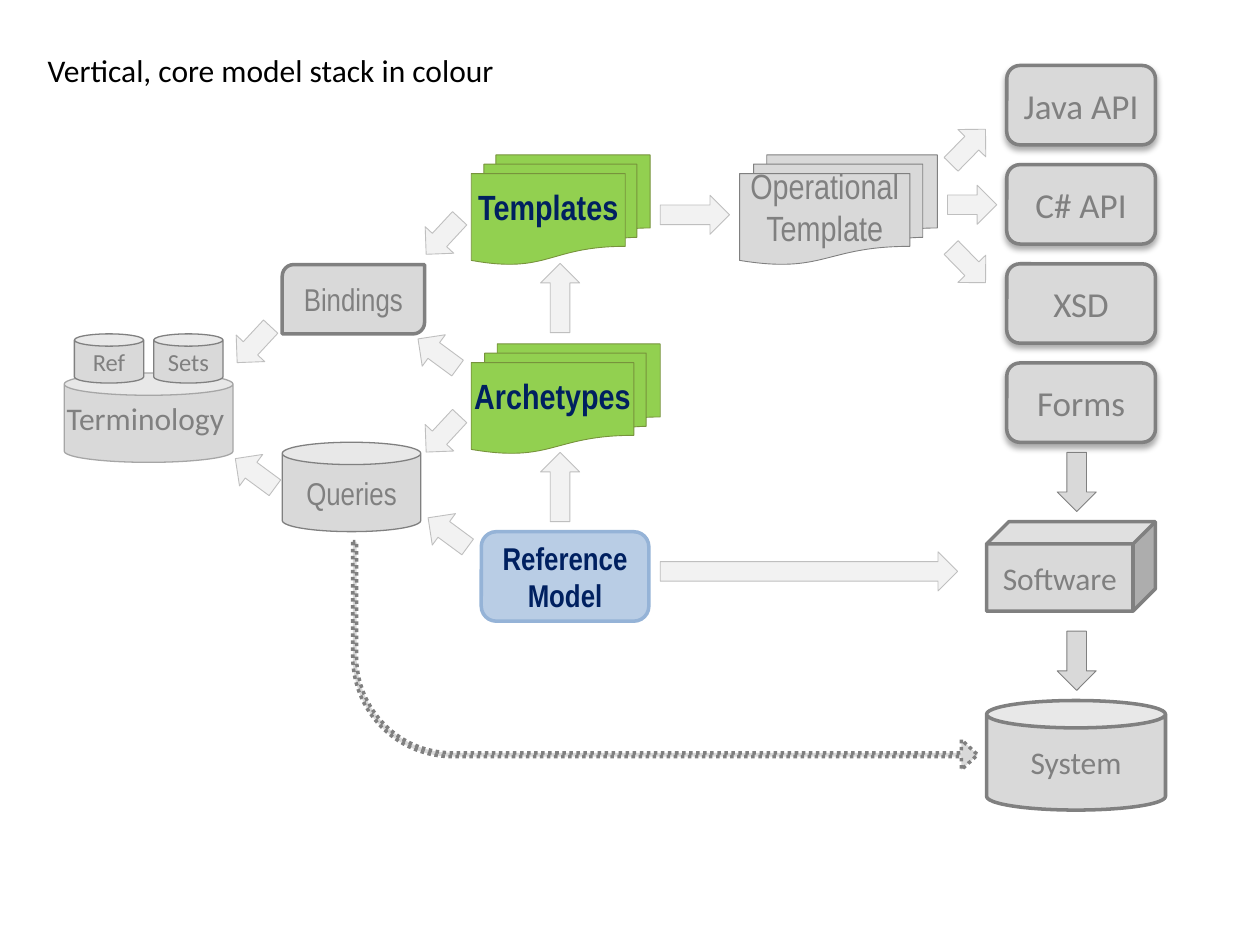
from lxml import etree
from pptx import Presentation
from pptx.dml.color import RGBColor
from pptx.enum.dml import MSO_LINE
from pptx.enum.shapes import MSO_SHAPE
from pptx.enum.text import MSO_ANCHOR, MSO_AUTO_SIZE, PP_ALIGN
from pptx.oxml.ns import qn
from pptx.util import Inches, Pt

GREY, PALE, DARK, NAVY = "D9D9D9", "F2F2F2", "808080", "002060"
NARROW, PLAIN = "Arial Narrow", "Calibri"

deck = Presentation()
deck.slide_width, deck.slide_height = Inches(10), Inches(7.5)
slide = deck.slides.add_slide(deck.slide_layouts[6])
stack = slide.shapes


def write(shape, text, size, face, color, bold=False):
    para = shape.text_frame.paragraphs[0]
    run = para.add_run()
    run.text = text
    looks = {"size": Pt(size), "name": face, "bold": bold}
    for name, value in looks.items():
        setattr(run.font, name, value)
    run.font.color.rgb = RGBColor.from_string(color)
    return para


def draw(parent, kind, box, fill, line, width, label=None):
    """Add a flat preset shape; label holds the arguments for write."""
    shape = parent.add_shape(kind, *map(Inches, box))
    shape.shadow.inherit = False
    shape.fill.solid()
    shape.fill.fore_color.rgb = RGBColor.from_string(fill)
    shape.line.color.rgb = RGBColor.from_string(line)
    shape.line.width = Pt(width)
    if label:
        frame = shape.text_frame
        frame.word_wrap = True
        frame.vertical_anchor = MSO_ANCHOR.MIDDLE
        write(shape, *label).alignment = PP_ALIGN.CENTER
    return shape


# Models and bindings
draw(stack, MSO_SHAPE.ROUNDED_RECTANGLE, (3.82, 4.22, 1.33, 0.71),
     "B9CDE5", "95B3D7", 2, ("Reference Model", 18, NARROW, NAVY, True))
bind = draw(stack, MSO_SHAPE.ROUND_2_DIAG_RECTANGLE, (2.24, 2.1, 1.13, 0.55),
            GREY, DARK, 2, ("Bindings", 18, NARROW, DARK))
bind.text_frame.margin_left = bind.text_frame.margin_right = Inches(0.04)

# Terminology store with its two small sets
group = stack.add_group_shape().shapes
draw(group, MSO_SHAPE.CAN, (0.51, 2.96, 1.34, 0.71), GREY, "A6A6A6", 0.75)
term = group.add_textbox(*map(Inches, (0.43, 3.12, 1.49, 0.4)))
write(term, "Terminology", 18, PLAIN, DARK)
for text, left in (("Ref", 0.59), ("Sets", 1.22)):
    draw(group, MSO_SHAPE.CAN, (left, 2.65, 0.55, 0.39), GREY, DARK, 0.75,
         (text, 14, PLAIN, DARK))

# Document stacks
papers = (
    ("Archetypes", 3.74, 2.73, 1.5, "92D050", "77933C", NAVY, True),
    ("Templates", 3.74, 1.23, 1.42, "92D050", "77933C", NAVY, True),
    ("Operational Template", 5.87, 1.23, 1.57, GREY, DARK, DARK, False),
)
for text, left, top, wide, fill, line, ink, bold in papers:
    paper = draw(stack, MSO_SHAPE.FLOWCHART_MULTIDOCUMENT,
                 (left, top, wide, 0.87), fill, line, 0.5,
                 (text, 20, NARROW, ink, bold))
    for side, gap in {"left": 0, "top": 0, "right": 0, "bottom": 0.16}.items():
        setattr(paper.text_frame, f"margin_{side}", Inches(gap))

# Stores and software
solids = (
    ("Queries", MSO_SHAPE.CAN, (2.24, 3.51, 1.1, 0.71), 0.75, NARROW),
    ("Software", MSO_SHAPE.CUBE, (7.83, 4.14, 1.34, 0.71), 2, PLAIN),
    ("System", MSO_SHAPE.CAN, (7.83, 5.56, 1.42, 0.87), 2, PLAIN),
)
for text, kind, box, width, face in solids:
    draw(stack, kind, box, GREY, DARK, width, (text, 18, face, DARK))

# Generated outputs, each with a soft shadow below
for row, text in enumerate(("Java API", "C# API", "XSD", "Forms")):
    card = draw(stack, MSO_SHAPE.ROUNDED_RECTANGLE,
                (7.99, 0.52 + row * 0.787, 1.18, 0.63), GREY, DARK, 2,
                (text, 20, PLAIN, DARK))
    effects = card._element.spPr.find(qn("a:effectLst"))
    shade = etree.SubElement(effects, qn("a:outerShdw"), blurRad=str(Pt(3.5)),
                             dist=str(Pt(2.2)), dir="5400000", rotWithShape="0")
    black = etree.SubElement(shade, qn("a:srgbClr"), val="000000")
    etree.SubElement(black, qn("a:alpha"), val="32000")

# Block arrows: left, top, length, turn
pale = (
    (3.32, 3.29, 0.39, 132.9), (3.32, 1.72, 0.39, 132.9),
    (1.82, 2.58, 0.39, 132.9), (3.36, 4.07, 0.39, 216.4),
    (3.28, 2.65, 0.39, 216.4), (1.83, 3.6, 0.39, 216.4),
    (7.49, 1.95, 0.39, 45.6), (7.49, 1.01, 0.39, 314.4),
    (7.52, 1.47, 0.39, 0), (5.24, 1.55, 0.55, 0), (5.24, 4.38, 2.36, 0),
    (4.17, 2.21, 0.55, 270), (4.17, 3.71, 0.55, 270),
)
dark = ((8.31, 3.67, 0.47, 90), (8.31, 5.09, 0.47, 90))
for arrows, fill, line in ((pale, PALE, "BFBFBF"), (dark, GREY, DARK)):
    for left, top, size, turn in arrows:
        arrow = draw(stack, MSO_SHAPE.RIGHT_ARROW, (left, top, size, 0.31),
                     fill, line, 0.5)
        arrow.rotation = turn

# Dotted path from queries to system
bent = draw(stack, MSO_SHAPE.BENT_ARROW, (2.8, 4.3, 4.96, 1.81), GREY, DARK, 2)
bent.line.dash_style = MSO_LINE.ROUND_DOT
bent._element.spPr.find(qn("a:xfrm")).set("flipV", "1")
for spot, value in enumerate((0.017, 0.066, 0.072, 0.438)):
    bent.adjustments[spot] = value

title = stack.add_textbox(*map(Inches, (0.28, 0.36, 3.79, 0.4)))
write(title, "Vertical, core model stack in colour", 18, PLAIN, "000000")
for box in (term, title):
    box.text_frame.word_wrap = False
    box.text_frame.auto_size = MSO_AUTO_SIZE.SHAPE_TO_FIT_TEXT

deck.save("out.pptx")
